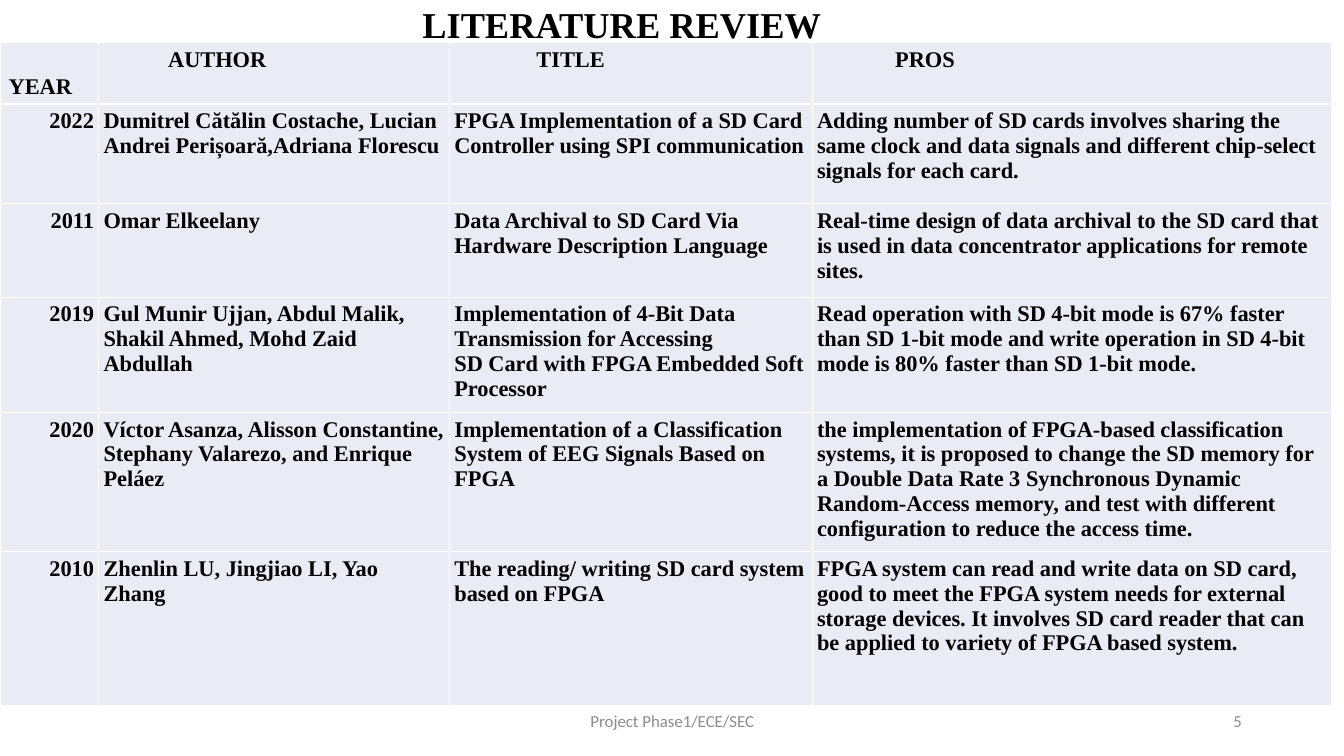
from lxml import etree
from pptx import Presentation
from pptx import util as u
from pptx.dml.color import RGBColor
from pptx.enum import text
from pptx.oxml import ns

BLACK = RGBColor(0, 0, 0)
GREY = RGBColor(0x8C, 0x8C, 0x8C)
PALE = RGBColor(0xE9, 0xEB, 0xF5)
SERIF = "Times New Roman"
ALIGN = text.PP_ALIGN
ANCHOR = text.MSO_ANCHOR


def style(para, size, name, color, bold=False, align=ALIGN.LEFT, indent=0):
    """Set the font, alignment and left indent (cm) of a paragraph."""
    font = para.font
    font.size, font.name, font.bold = u.Pt(size), name, bold
    font.color.rgb = color
    para.alignment = align
    if indent:
        props = para._p.get_or_add_pPr()
        props.set("marL", str(u.Cm(indent)))
        props.set("indent", "0")


def edge(cell):
    """Draw thin white borders around a table cell."""
    props = cell._tc.get_or_add_tcPr()
    for side in ("lnL", "lnR", "lnT", "lnB"):
        line = etree.SubElement(props, ns.qn("a:" + side), w=str(u.Pt(1)))
        fill = etree.SubElement(line, ns.qn("a:solidFill"))
        etree.SubElement(fill, ns.qn("a:srgbClr"), val="FFFFFF")


deck = Presentation()
deck.slide_width, deck.slide_height = u.Cm(33.87), u.Cm(19.05)
slide = deck.slides.add_slide(deck.slide_layouts[5])

# Title
title = slide.shapes.title
title.left, title.top = u.Cm(2.77), u.Cm(-1.17)
title.width, title.height = u.Cm(29.21), u.Cm(3.68)
frame = title.text_frame
frame.text = "LITERATURE REVIEW"
frame.vertical_anchor = ANCHOR.MIDDLE
frame.paragraphs[0].line_spacing = 0.9
style(frame.paragraphs[0], 26, SERIF, BLACK, True, indent=7.62)

# Review table
HEADS = ["YEAR", "AUTHOR", "TITLE", "PROS"]
INDENTS = [0.1, 1.63, 2.07, 1.97]
WIDTHS = [2.49, 8.84, 9.14, 13.08]
HEIGHTS = [1.55, 2.51, 2.36, 2.9, 3.51, 3.89]
PAPERS = [
    ["2022",
     "Dumitrel Cătălin Costache, Lucian Andrei Perișoară,Adriana Florescu",
     "FPGA Implementation of a SD Card Controller using SPI communication",
     "Adding number of SD cards involves sharing the same clock and data "
     "signals and different chip-select signals for each card."],
    ["2011",
     "Omar Elkeelany",
     "Data Archival to SD Card Via Hardware Description Language",
     "Real-time design of data archival to the SD card that is used in data "
     "concentrator applications for remote sites."],
    ["2019",
     "Gul Munir Ujjan, Abdul Malik, Shakil Ahmed, Mohd Zaid Abdullah",
     "Implementation of 4-Bit Data Transmission for Accessing\n"
     "SD Card with FPGA Embedded Soft Processor",
     "Read operation with SD 4-bit mode is 67% faster than SD 1-bit mode and "
     "write operation in SD 4-bit mode is 80% faster than SD 1-bit mode."],
    ["2020",
     "Víctor Asanza, Alisson Constantine, Stephany Valarezo, and Enrique Peláez",
     "Implementation of a Classification System of EEG Signals Based on FPGA",
     "the implementation of FPGA-based classification systems, it is proposed "
     "to change the SD memory for a Double Data Rate 3 Synchronous Dynamic "
     "Random-Access memory, and test with different configuration to reduce "
     "the access time."],
    ["2010",
     "Zhenlin LU, Jingjiao LI, Yao Zhang",
     "The reading/ writing SD card system based on FPGA",
     "FPGA system can read and write data on SD card, good to meet the FPGA "
     "system needs for external storage devices. It involves SD card reader "
     "that can be applied to variety of FPGA based system."],
]
table = slide.shapes.add_table(
    len(HEIGHTS), len(WIDTHS), 0, u.Cm(1.07),
    u.Cm(sum(WIDTHS)), u.Cm(sum(HEIGHTS))).table
table.first_row = table.horz_banding = False
for col, width in zip(table.columns, WIDTHS):
    col.width = u.Cm(width)
for row, height in zip(table.rows, HEIGHTS):
    row.height = u.Cm(height)

for r, words in enumerate([HEADS] + PAPERS):
    for c, word in enumerate(words):
        cell = table.cell(r, c)
        edge(cell)
        cell.fill.solid()
        cell.fill.fore_color.rgb = PALE
        cell.margin_left = cell.margin_right = u.Cm(0.12)
        cell.margin_top = cell.margin_bottom = u.Cm(0.12)
        cell.vertical_anchor = ANCHOR.TOP
        cell.text = word
        align = ALIGN.RIGHT if r and c == 0 else ALIGN.LEFT
        indent = 0 if r else INDENTS[c]
        for para in cell.text_frame.paragraphs:
            style(para, 16, SERIF, BLACK, True, align, indent)
table.cell(0, 0).vertical_anchor = ANCHOR.BOTTOM

# Footer and page number
for left, width, word, align in [
        (11.23, 11.43, "Project Phase1/ECE/SEC", ALIGN.CENTER),
        (23.93, 7.62, "5", ALIGN.RIGHT)]:
    box = slide.shapes.add_textbox(
        u.Cm(left), u.Cm(17.65), u.Cm(width), u.Cm(1.02))
    frame = box.text_frame
    frame.word_wrap = True
    frame.vertical_anchor = ANCHOR.MIDDLE
    frame.text = word
    style(frame.paragraphs[0], 12, "Calibri", GREY, align=align)

deck.save("out.pptx")
